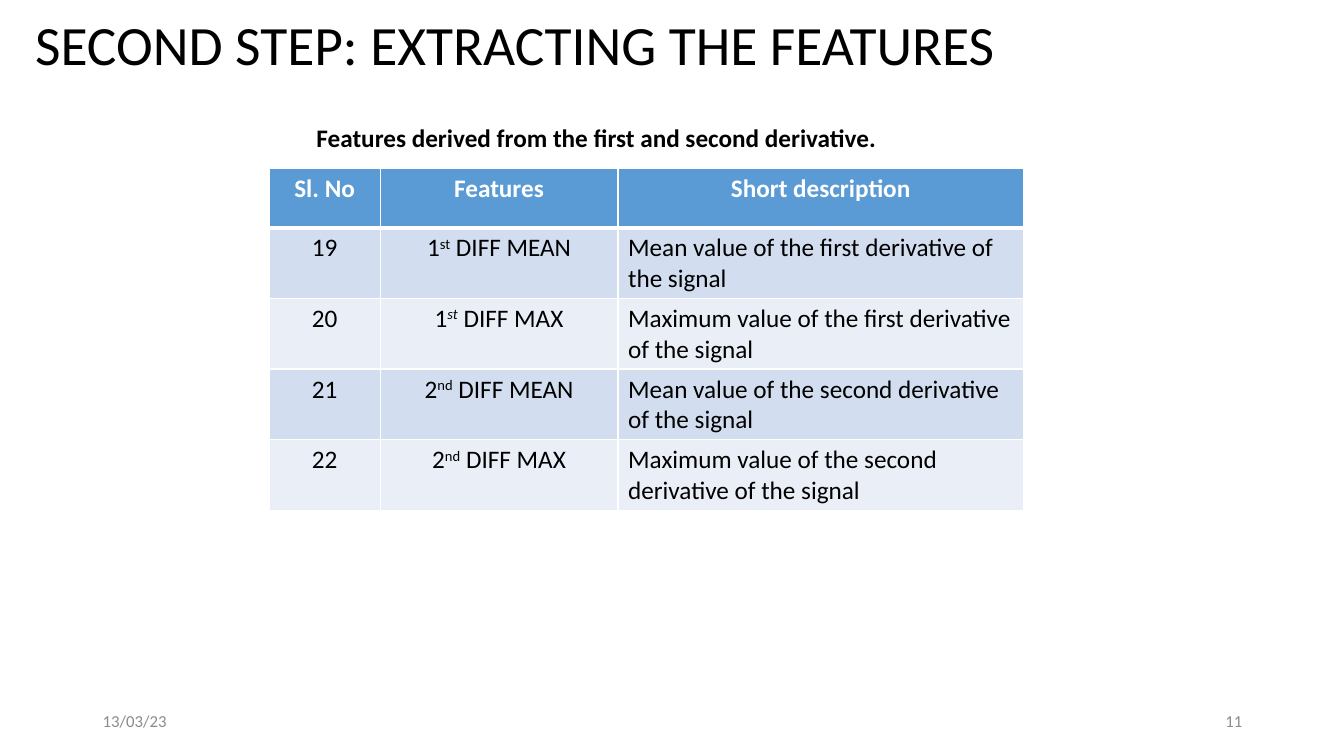
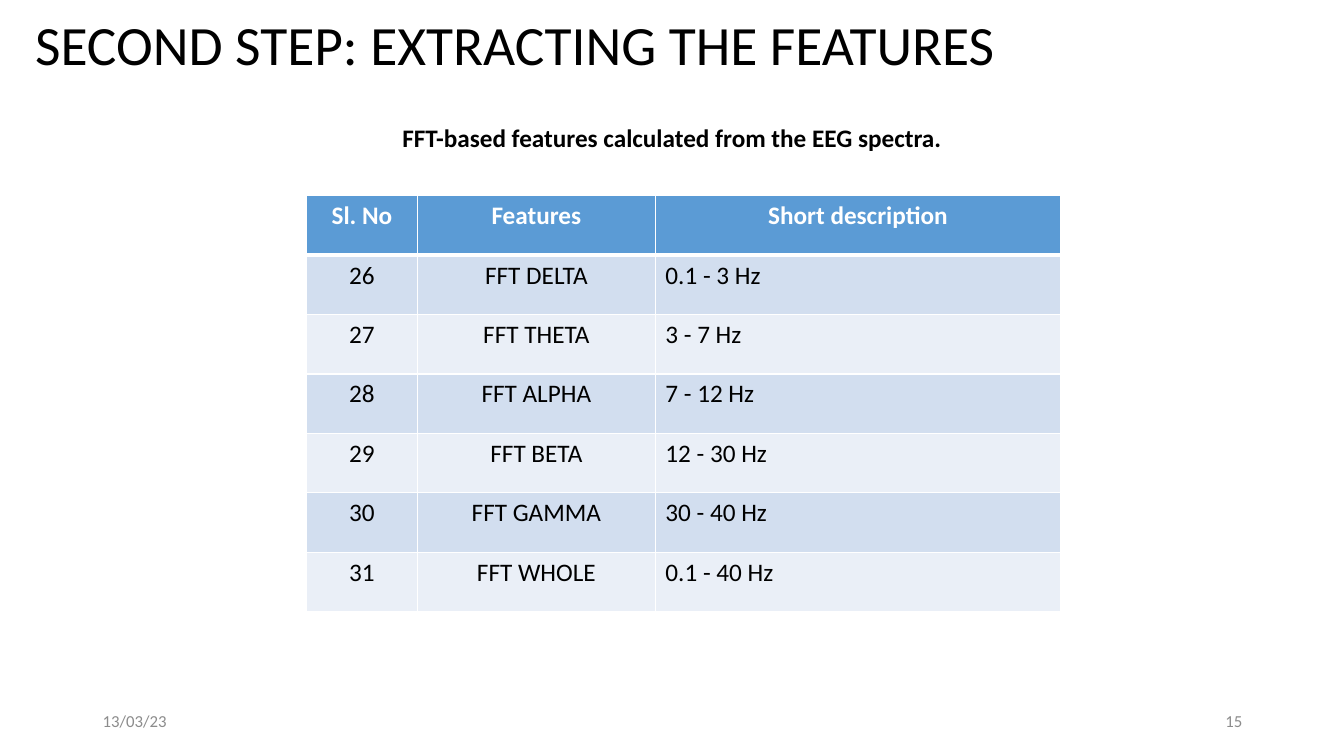
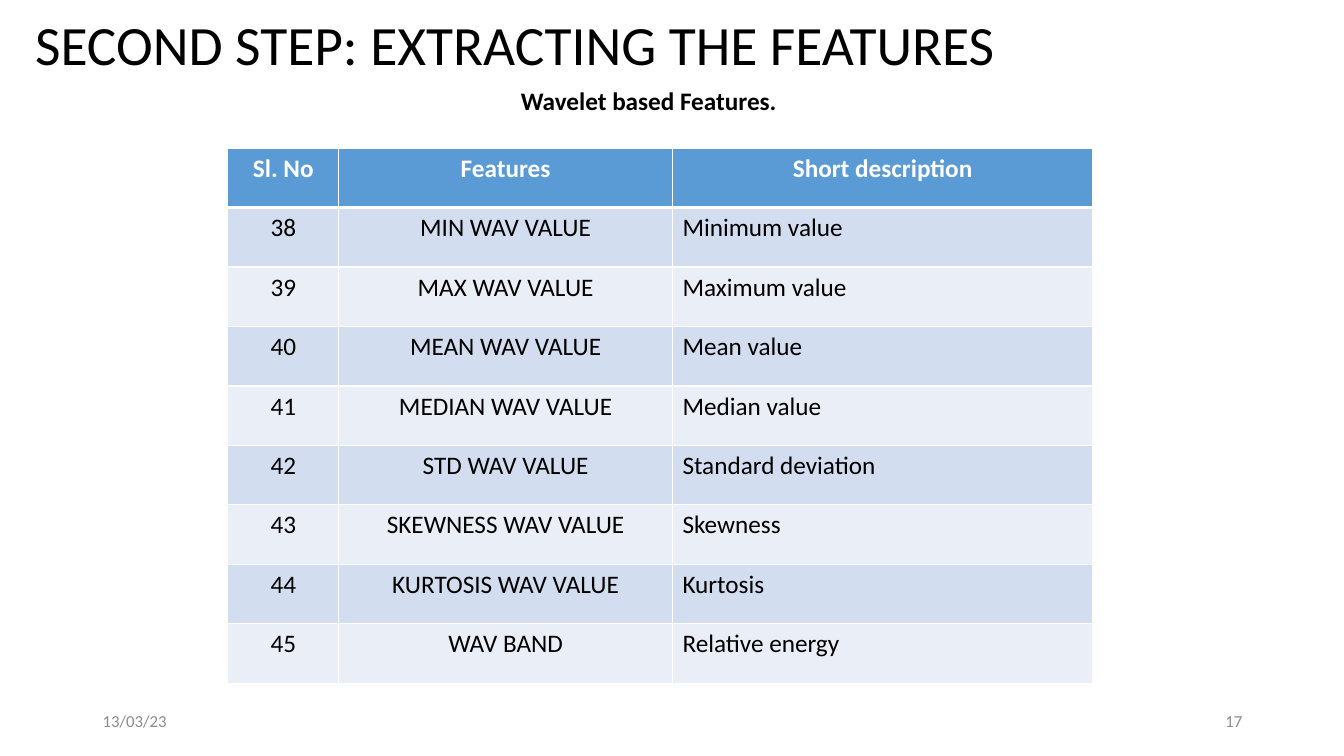
from dataclasses import dataclass
from typing import NamedTuple

from lxml import etree
from pptx import Presentation
from pptx.dml.color import RGBColor
from pptx.enum import text
from pptx.oxml.ns import qn
from pptx.util import Inches, Pt

FONT = "Calibri"
BLACK, WHITE, GREY = "000000", "FFFFFF", "8C8C8C"
HEADER_FILL, BAND_FILLS = "5B9BD5", ("D2DEEF", "EAEFF7")
ROW_HEIGHT = 0.59
TITLE = "SECOND STEP: EXTRACTING THE FEATURES"
DATE = "13/03/23"
HEADERS = ("Sl. No", "Features", "Short description")
LEFT, CENTER, RIGHT = text.PP_ALIGN.LEFT, text.PP_ALIGN.CENTER, text.PP_ALIGN.RIGHT
COLUMN_ALIGNS = (CENTER, CENTER, LEFT)
TITLE_STYLE = {"size": Pt(39.6)}
CAPTION_STYLE = {"size": Pt(18), "bold": True}
BODY_STYLE = {"size": Pt(18), "bold": False}
FOOTER_STYLE = {"size": Pt(12)}


class Run(NamedTuple):
    text: str
    raised: bool = False
    italic: bool = False


class Feature(NamedTuple):
    name: str | tuple[Run, ...]
    description: str


class Box(NamedTuple):
    left: float
    top: float
    width: float
    height: float


@dataclass
class FeatureSlide:
    number: int
    caption: str
    caption_box: Box
    caption_align: text.PP_ALIGN
    table_left: float
    table_top: float
    columns: tuple[float, ...]
    first_feature: int
    features: list[Feature]


def ordinal(digit: str, suffix: str, rest: str, italic: bool = False) -> tuple[Run, ...]:
    return Run(digit), Run(suffix, True, italic), Run(f" {rest}")


SLIDES = [
    FeatureSlide(
        11, "Features derived from the first and second derivative.",
        Box(3.04, 1.16, 7.32, 0.4), LEFT, 2.67, 1.67, (1.1, 2.36, 4.02), 19,
        [
            Feature(ordinal("1", "st", "DIFF MEAN"),
                    "Mean value of the first derivative of the signal"),
            Feature(ordinal("1", "st", "DIFF MAX", italic=True),
                    "Maximum value of the first derivative of the signal"),
            Feature(ordinal("2", "nd", "DIFF MEAN"),
                    "Mean value of the second derivative of the signal"),
            Feature(ordinal("2", "nd", "DIFF MAX"),
                    "Maximum value of the second derivative of the signal"),
        ],
    ),
    FeatureSlide(
        15, "FFT-based features calculated from the EEG spectra.",
        Box(2.49, 1.16, 8.35, 0.4), CENTER, 3.04, 1.94, (1.1, 2.36, 4.02), 26,
        [
            Feature("FFT DELTA", "0.1 - 3 Hz"),
            Feature("FFT THETA", "3 - 7 Hz"),
            Feature("FFT ALPHA", "7 - 12 Hz"),
            Feature("FFT BETA", "12 - 30 Hz"),
            Feature("FFT GAMMA", "30 - 40 Hz"),
            Feature("FFT WHOLE", "0.1 - 40 Hz"),
        ],
    ),
    FeatureSlide(
        17, "Wavelet based Features.",
        Box(2.26, 0.8, 8.35, 0.4), CENTER, 2.26, 1.47, (1.1, 3.31, 4.17), 38,
        [
            Feature("MIN WAV VALUE", "Minimum value"),
            Feature("MAX WAV VALUE", "Maximum value"),
            Feature("MEAN WAV VALUE", "Mean value"),
            Feature("MEDIAN WAV VALUE", "Median value"),
            Feature("STD WAV VALUE", "Standard deviation"),
            Feature("SKEWNESS WAV VALUE", "Skewness"),
            Feature("KURTOSIS WAV VALUE", "Kurtosis"),
            Feature("WAV BAND", "Relative energy"),
        ],
    ),
]


def rgb(color: str) -> RGBColor:
    return RGBColor.from_string(color)


def write(p, content, style: dict, color: str, align) -> None:
    """Fill a paragraph from a string or a sequence of runs."""
    p.alignment = align
    for part in (Run(content),) if isinstance(content, str) else content:
        r = p.add_run()
        r.text = part.text
        for name, value in {"name": FONT, **style}.items():
            setattr(r.font, name, value)
        r.font.color.rgb = rgb(color)
        if part.italic:
            r.font.italic = True
        if part.raised:
            r._r.get_or_add_rPr().set("baseline", "30000")


def add_text(slide, box: Box, content: str, style: dict, color: str = BLACK,
             align=LEFT, anchor=text.MSO_ANCHOR.MIDDLE):
    sp = slide.shapes.add_textbox(*map(Inches, box))
    tf = sp.text_frame
    tf.word_wrap = True
    tf.vertical_anchor = anchor
    write(tf.paragraphs[0], content, style, color, align)
    return tf


def set_borders(cell, top: float, bottom: float) -> None:
    """Draw white cell borders; widths are in points."""
    tc_pr = cell._tc.get_or_add_tcPr()
    widths = {"a:lnL": 1, "a:lnR": 1, "a:lnT": top, "a:lnB": bottom}
    for i, (tag, width) in enumerate(widths.items()):
        ln = etree.Element(qn(tag), w=str(Pt(width)))
        fill = etree.SubElement(ln, qn("a:solidFill"))
        etree.SubElement(fill, qn("a:srgbClr"), val=WHITE)
        tc_pr.insert(i, ln)


def add_feature_table(slide, data: FeatureSlide) -> None:
    rows = [HEADERS] + [(str(n), *feature) for n, feature
                        in enumerate(data.features, data.first_feature)]
    box = Box(data.table_left, data.table_top, sum(data.columns), ROW_HEIGHT * len(rows))
    table = slide.shapes.add_table(len(rows), len(HEADERS), *map(Inches, box)).table
    table.first_row = table.horz_banding = False
    for column, width in zip(table.columns, data.columns):
        column.width = Inches(width)
    for i, row in enumerate(rows):
        header = i == 0
        table.rows[i].height = Inches(ROW_HEIGHT)
        for j, content in enumerate(row):
            cell = table.cell(i, j)
            cell.fill.solid()
            cell.fill.fore_color.rgb = rgb(HEADER_FILL if header else BAND_FILLS[(i - 1) % 2])
            set_borders(cell, top=3 if i == 1 else 1, bottom=3 if header else 1)
            write(cell.text_frame.paragraphs[0], content,
                  CAPTION_STYLE if header else BODY_STYLE,
                  WHITE if header else BLACK,
                  CENTER if header else COLUMN_ALIGNS[j])


def add_frame(slide, number: int) -> None:
    """Add the title, date and page number that every slide carries."""
    title = add_text(slide, Box(0.25, 0.13, 11.5, 0.68), TITLE, TITLE_STYLE)
    title.paragraphs[0].line_spacing = 0.9
    add_text(slide, Box(0.92, 6.95, 3, 0.4), DATE, FOOTER_STYLE, GREY)
    add_text(slide, Box(9.42, 6.95, 3, 0.4), str(number), FOOTER_STYLE, GREY, RIGHT)


def main() -> None:
    prs = Presentation()
    prs.slide_width, prs.slide_height = Inches(13.33), Inches(7.5)
    for data in SLIDES:
        slide = prs.slides.add_slide(prs.slide_layouts[6])
        caption = add_text(slide, data.caption_box, data.caption, CAPTION_STYLE,
                           align=data.caption_align, anchor=text.MSO_ANCHOR.TOP)
        caption.auto_size = text.MSO_AUTO_SIZE.SHAPE_TO_FIT_TEXT
        add_feature_table(slide, data)
        add_frame(slide, data.number)
    prs.save("out.pptx")


if __name__ == "__main__":
    main()
